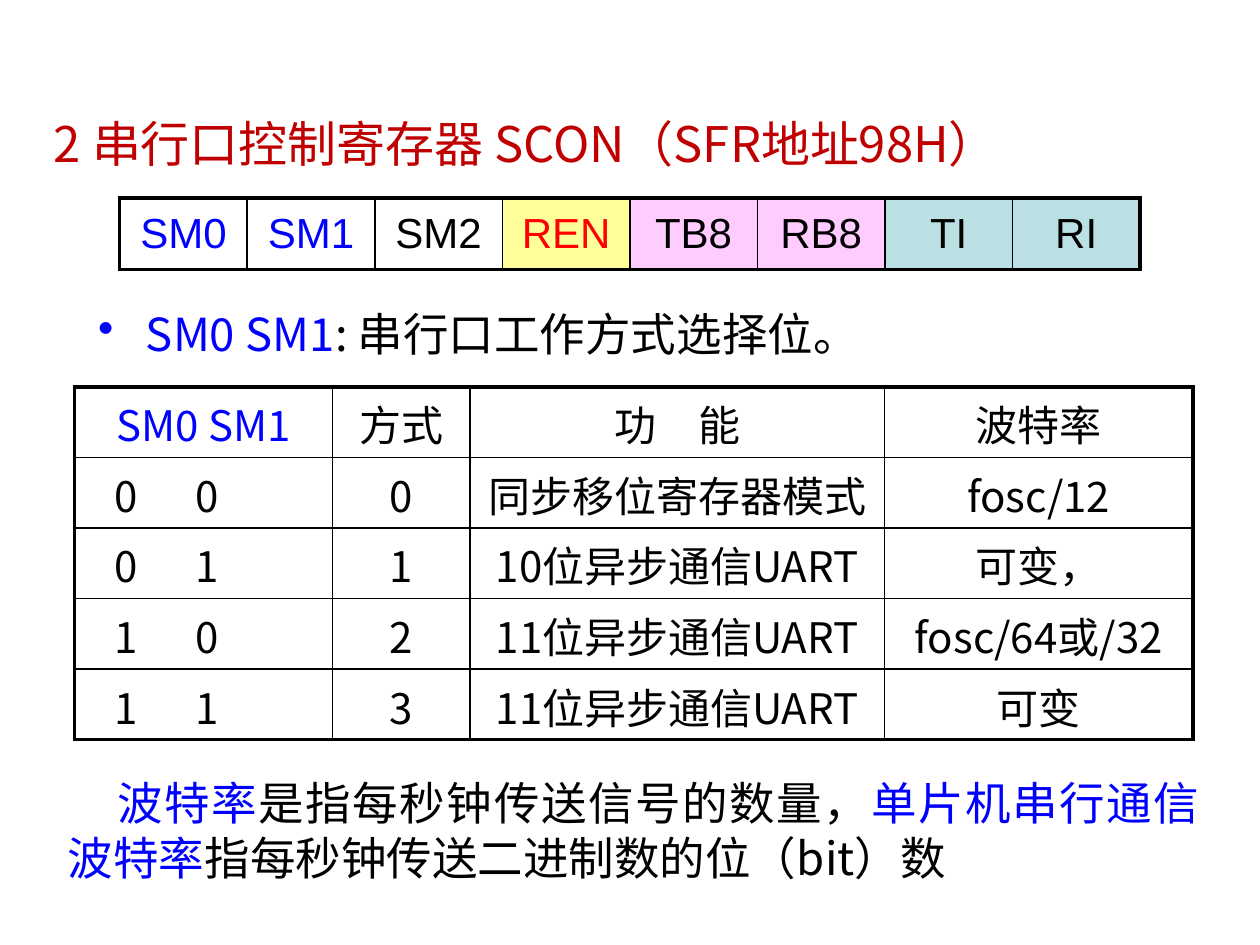
from typing import NamedTuple, Optional

from lxml import etree
from pptx import Presentation
from pptx.dml.color import RGBColor
from pptx.enum.text import MSO_ANCHOR, PP_ALIGN
from pptx.oxml.ns import qn
from pptx.util import Inches, Pt

LEFT, CENTER, JUSTIFY = PP_ALIGN.LEFT, PP_ALIGN.CENTER, PP_ALIGN.JUSTIFY
TOP, MIDDLE = MSO_ANCHOR.TOP, MSO_ANCHOR.MIDDLE

BLACK = RGBColor(0x00, 0x00, 0x00)
BLUE = RGBColor(0x00, 0x00, 0xFF)
RED = RGBColor(0xFF, 0x00, 0x00)
CRIMSON = RGBColor(0xC0, 0x00, 0x00)
YELLOW = RGBColor(0xFF, 0xFF, 0x99)
PINK = RGBColor(0xFF, 0xCC, 0xFF)
TEAL = RGBColor(0xBB, 0xE0, 0xE3)

ARIAL, NOTO = "Arial", "Noto Sans CJK SC"
THICK, THIN = Pt(2.25), Pt(1)
TABS = (0.22, 0.86)


class Part(NamedTuple):
    text: str
    color: RGBColor = BLACK


class Cell(NamedTuple):
    text: str
    color: RGBColor = BLACK
    fill: Optional[RGBColor] = None
    align: PP_ALIGN = CENTER
    anchor: MSO_ANCHOR = TOP


def add_run(para, part: Part, size: float, font: str) -> None:
    run = para.add_run()
    run.text = part.text
    run.font.size = Pt(size)
    run.font.name = font
    run.font.color.rgb = part.color
    east = etree.SubElement(run._r.get_or_add_rPr(), qn("a:ea"))
    east.set("typeface", font)


def add_text(slide, box: tuple, parts: list, size: float, anchor=TOP):
    """Add a one-paragraph text box and return its paragraph."""
    frame = slide.shapes.add_textbox(*map(Inches, box)).text_frame
    frame.word_wrap = True
    frame.vertical_anchor = anchor
    para = frame.paragraphs[0]
    for part in parts:
        add_run(para, part, size, NOTO)
    return para


def set_indent(para, left: float, first: float) -> None:
    props = para._p.get_or_add_pPr()
    props.set("marL", str(Inches(left)))
    props.set("indent", str(Inches(first)))


def add_bullet(para) -> None:
    set_indent(para, 0.38, -0.38)
    mark = etree.SubElement(para._p.get_or_add_pPr(), qn("a:buChar"))
    mark.set("char", "•")


def add_tabs(para) -> None:
    stops = etree.SubElement(para._p.get_or_add_pPr(), qn("a:tabLst"))
    for place in TABS:
        etree.SubElement(stops, qn("a:tab"), pos=str(Inches(place)), algn="l")


def add_edge(cell, side: str, width: int) -> None:
    line = etree.SubElement(cell._tc.get_or_add_tcPr(), qn(f"a:ln{side}"), w=str(width))
    fill = etree.SubElement(line, qn("a:solidFill"))
    etree.SubElement(fill, qn("a:srgbClr"), val=str(BLACK))


def add_grid(slide, left: float, top: float, widths: list, height: float,
             rows: list, font: str) -> None:
    """Add a table with a thick frame and thin inner lines."""
    count, wide = len(rows), len(widths)
    table = slide.shapes.add_table(count, wide, Inches(left), Inches(top),
                                   Inches(sum(widths)), Inches(height * count)).table
    table.first_row = table.horz_banding = False
    for col, width in zip(table.columns, widths):
        col.width = Inches(width)
    for r, row in enumerate(rows):
        table.rows[r].height = Inches(height)
        for c, item in enumerate(row):
            cell = table.cell(r, c)
            outer = {"L": c == 0, "R": c == wide - 1, "T": r == 0, "B": r == count - 1}
            for side, edge in outer.items():
                add_edge(cell, side, THICK if edge else THIN)
            if item.fill is None:
                cell.fill.background()
            else:
                cell.fill.solid()
                cell.fill.fore_color.rgb = item.fill
            cell.vertical_anchor = item.anchor
            para = cell.text_frame.paragraphs[0]
            para.alignment = item.align
            if "\t" in item.text:
                add_tabs(para)
            add_run(para, Part(item.text, item.color), 24, font)


def main() -> None:
    deck = Presentation()
    deck.slide_width, deck.slide_height = Inches(10), Inches(7.5)
    slide = deck.slides.add_slide(deck.slide_layouts[6])

    add_text(slide, (0.33, 0.64, 9, 0.98),
             [Part("2 串行口控制寄存器 SCON（SFR地址98H）", CRIMSON)], 28, MIDDLE)

    bits = [("SM0", BLUE, None), ("SM1", BLUE, None), ("SM2", BLACK, None),
            ("REN", RED, YELLOW), ("TB8", BLACK, PINK), ("RB8", BLACK, PINK),
            ("TI", BLACK, TEAL), ("RI", BLACK, TEAL)]
    add_grid(slide, 0.95, 1.57, [8.1 / len(bits)] * len(bits), 0.57,
             [[Cell(*bit, anchor=MIDDLE) for bit in bits]], ARIAL)

    add_bullet(add_text(slide, (0.68, 2.38, 8.69, 0.67),
                        [Part("SM0 SM1", BLUE), Part(": 串行口工作方式选择位。")], 26))

    heads = [("SM0 SM1", BLUE), ("方式", BLACK), ("功　能", BLACK), ("波特率", BLACK)]
    modes = [("同步移位寄存器模式", "fosc/12"), ("10位异步通信UART", "可变，"),
             ("11位异步通信UART", "fosc/64或/32"), ("11位异步通信UART", "可变")]
    rows = [[Cell(*head, anchor=MIDDLE) for head in heads]]
    for mode, (task, rate) in enumerate(modes):
        high, low = divmod(mode, 2)
        rows.append([Cell(f"\t{high}\t{low}", align=LEFT), Cell(str(mode)),
                     Cell(task), Cell(rate)])
    add_grid(slide, 0.59, 3.07, [2.05, 1.09, 3.29, 2.45], 0.56, rows, NOTO)

    note = add_text(slide, (0.44, 6.1, 9.18, 0.98),
                    [Part("波特率", BLUE), Part("是指每秒钟传送信号的数量，"),
                     Part("单片机串行通信波特率", BLUE),
                     Part("指每秒钟传送二进制数的位（bit）数")], 26)
    note.alignment = JUSTIFY
    note.line_spacing = Pt(31.5)
    set_indent(note, 0, 0.39)

    deck.save("out.pptx")


if __name__ == "__main__":
    main()
